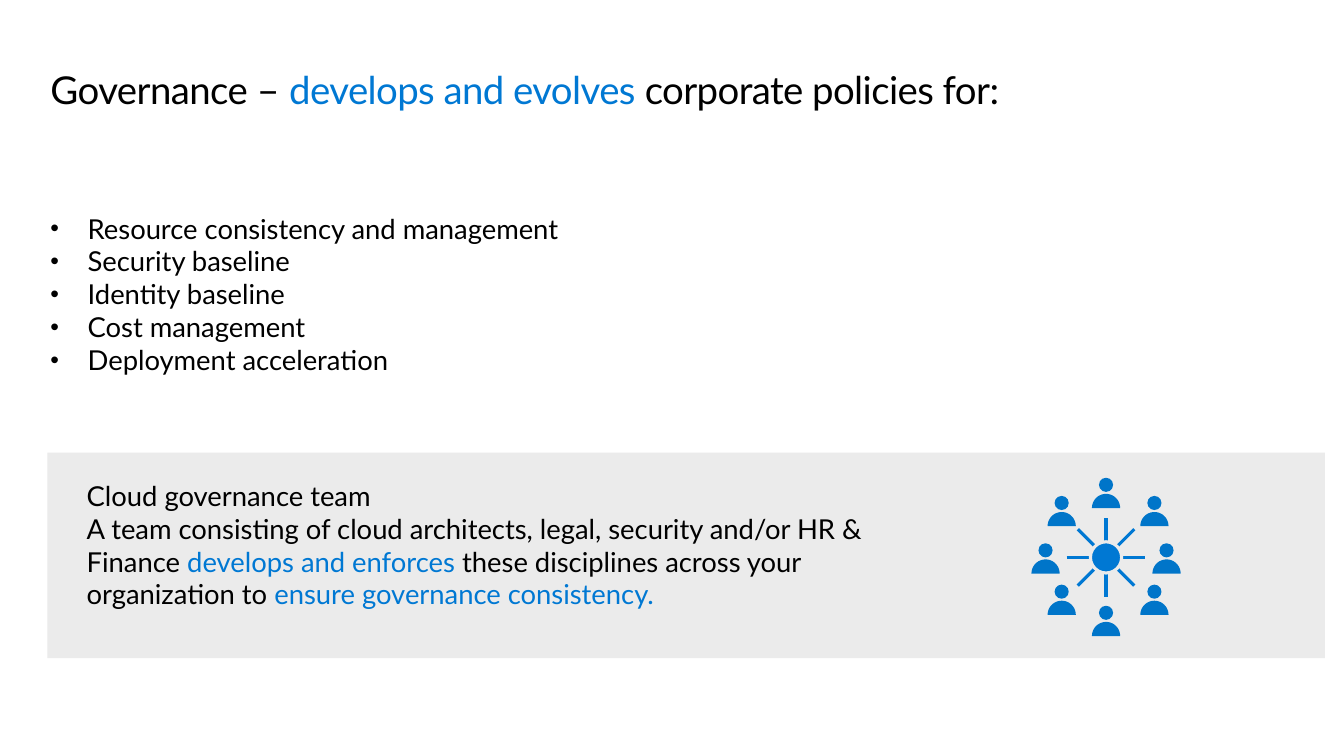
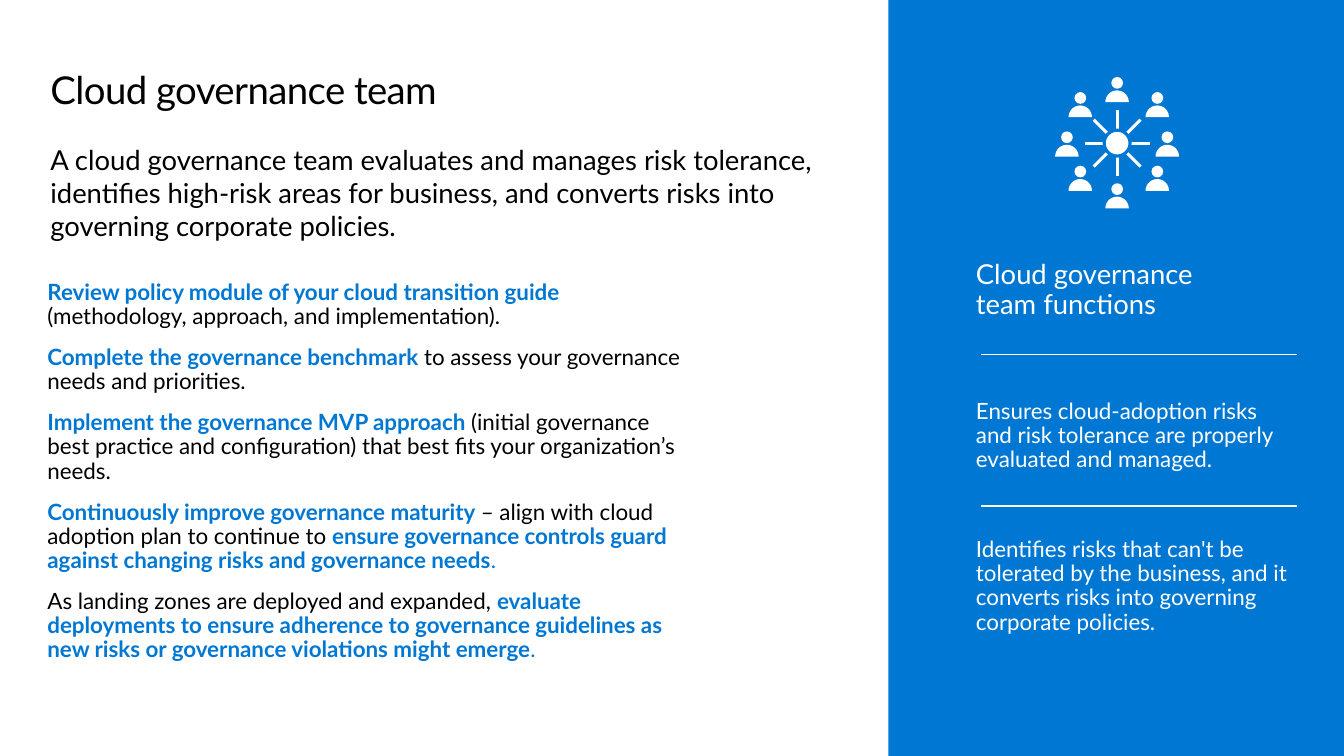
from dataclasses import dataclass
from math import cos, pi, sin

from lxml.etree import SubElement
from pptx import Presentation
from pptx.dml.color import RGBColor
from pptx.enum.shapes import MSO_CONNECTOR as Connector, MSO_SHAPE as Shape
from pptx.enum.text import MSO_ANCHOR as Anchor, MSO_AUTO_SIZE as AutoSize, PP_ALIGN as Align
from pptx.oxml.ns import qn
from pptx.util import Emu, Pt

EMU_PER_PX = 9144


@dataclass(frozen=True)
class Theme:
    font: str = "Lato"
    ink: str = "000000"
    accent: str = "0078D3"
    people: str = "0075C9"
    band: str = "EBEBEB"
    white: str = "FFFFFF"
    title: float = 27.4
    dash: float = 28
    lead: float = 19.6
    detail: float = 16
    title_leading: float = 31.4
    lead_leading: float = 23.5
    title_tracking: int = -40
    spoke: float = 2.25
    rule: float = 1


THEME = Theme()


@dataclass(frozen=True)
class Box:
    left: int
    top: int
    width: int
    height: int


@dataclass(frozen=True)
class Run:
    text: str
    color: str = THEME.ink
    bold: bool = False
    size: float | None = None


@dataclass(frozen=True)
class Style:
    size: float
    leading: object
    after: float = 0
    bulleted: bool = False
    tracking: int = 0


@dataclass(frozen=True)
class TextBlock:
    box: Box
    paragraphs: list[list[Run]]
    style: Style
    insets: tuple[int, int, int, int] = (0, 0, 0, 0)


@dataclass(frozen=True)
class TeamIcon:
    center_x: int
    center_y: int
    scale: float
    people: str
    hub: str
    backdrop: str


TITLE = Style(THEME.title, Pt(THEME.title_leading), tracking=THEME.title_tracking)
LEAD = Style(THEME.lead, Pt(THEME.lead_leading))
BULLETS = Style(THEME.lead, Pt(THEME.lead_leading), bulleted=True)
STEPS = Style(THEME.detail, 0.9, after=12)
PANEL_HEADING = Style(THEME.lead, 0.9, after=6)
PANEL_DETAIL = Style(THEME.detail, 0.9, after=6)

TITLE_BOX = Box(50, 68, 1236, 43)
BULLET_INDENT = 37

PERSON_OFFSETS = [(-60, 1), (60, 1), (0, -64), (0, 63)] + [
    (x, y) for x in (-44, 48) for y in (-46, 42)
]
SPOKES = [(28, 28), (28, -28), (39, 0), (0, 39)]
HEAD_SIZE, SHOULDER_RADIUS, PERSON_HALF, HUB_SIZE = 14, 14, 15, 31
ARC_STEPS = 24


def px(length: float) -> Emu:
    return Emu(round(length * EMU_PER_PX))


def rgb(color: str) -> RGBColor:
    return RGBColor.from_string(color)


def apply(target, values: dict) -> None:
    for name, value in values.items():
        setattr(target, name, value)


def place(box: Box) -> tuple[Emu, Emu, Emu, Emu]:
    return px(box.left), px(box.top), px(box.width), px(box.height)


def add_bullet(paragraph) -> None:
    properties = paragraph._p.get_or_add_pPr()
    indents = {"marL": px(BULLET_INDENT), "indent": -px(BULLET_INDENT)}
    for name, value in indents.items():
        properties.set(name, str(int(value)))
    for tag, name, value in (
        ("a:buSzPct", "val", "90000"),
        ("a:buFont", "typeface", "Arial"),
        ("a:buChar", "char", "•"),
    ):
        SubElement(properties, qn(tag)).set(name, value)


def write(frame, paragraphs: list[list[Run]], style: Style,
          insets: tuple[int, int, int, int] = (0, 0, 0, 0)) -> None:
    left, top, right, bottom = map(px, insets)
    apply(frame, {
        "word_wrap": True, "auto_size": AutoSize.NONE, "vertical_anchor": Anchor.TOP,
        "margin_left": left, "margin_top": top, "margin_right": right, "margin_bottom": bottom,
    })
    for index, runs in enumerate(paragraphs):
        paragraph = frame.add_paragraph() if index else frame.paragraphs[0]
        if style.bulleted:
            add_bullet(paragraph)
        apply(paragraph, {
            "alignment": Align.LEFT, "line_spacing": style.leading,
            "space_before": Pt(0), "space_after": Pt(style.after),
        })
        for part in runs:
            run = paragraph.add_run()
            run.text = part.text
            apply(run.font, {"name": THEME.font, "size": Pt(part.size or style.size),
                             "bold": part.bold})
            run.font.color.rgb = rgb(part.color)
            if style.tracking:
                run.font._element.set("spc", str(style.tracking))


def add_text(slide, block: TextBlock) -> None:
    frame = slide.shapes.add_textbox(*place(block.box)).text_frame
    write(frame, block.paragraphs, block.style, block.insets)


def paint(shape, color: str, outline: str | None = None) -> None:
    shape.shadow.inherit = False
    shape.fill.solid()
    shape.fill.fore_color.rgb = rgb(color)
    if outline:
        shape.line.color.rgb = rgb(outline)
        shape.line.width = Pt(THEME.spoke)
    else:
        shape.line.fill.background()


def add_block(slide, box: Box, color: str) -> None:
    paint(slide.shapes.add_shape(Shape.RECTANGLE, *place(box)), color)


def add_line(shapes, start: tuple[float, float], end: tuple[float, float],
             color: str, width: float) -> None:
    line = shapes.add_connector(Connector.STRAIGHT, *map(px, start + end))
    line.line.color.rgb = rgb(color)
    line.line.width = Pt(width)
    SubElement(line._element.spPr, qn("a:effectLst"))


def add_disc(shapes, x: float, y: float, size: float, color: str,
             outline: str | None = None) -> None:
    disc = shapes.add_shape(Shape.OVAL, px(x - size / 2), px(y - size / 2), px(size), px(size))
    paint(disc, color, outline)


def add_person(shapes, x: float, y: float, scale: float, color: str) -> None:
    add_disc(shapes, x, y + (HEAD_SIZE / 2 - PERSON_HALF) * scale, HEAD_SIZE * scale, color)
    base, radius = y + PERSON_HALF * scale, SHOULDER_RADIUS * scale
    angles = [pi * step / ARC_STEPS for step in range(ARC_STEPS + 1)]
    arc = [(px(x - radius * cos(a)), px(base - radius * sin(a))) for a in angles]
    shoulders = shapes.build_freeform(*arc[0])
    shoulders.add_line_segments(arc[1:], close=True)
    paint(shoulders.convert_to_shape(), color)


def add_team_icon(slide, icon: TeamIcon) -> None:
    shapes = slide.shapes.add_group_shape().shapes
    x, y, scale = icon.center_x, icon.center_y, icon.scale
    for dx, dy in PERSON_OFFSETS:
        add_person(shapes, x + dx * scale, y + dy * scale, scale, icon.people)
    for dx, dy in SPOKES:
        add_line(shapes, (x - dx * scale, y - dy * scale), (x + dx * scale, y + dy * scale),
                 icon.hub, THEME.spoke)
    add_disc(shapes, x, y, HUB_SIZE * scale, icon.hub, icon.backdrop)


def add_titled_slide(deck, runs: list[Run]):
    slide = deck.slides.add_slide(deck.slide_layouts[5])
    title = slide.shapes.title
    apply(title, dict(zip(("left", "top", "width", "height"), place(TITLE_BOX))))
    write(title.text_frame, [runs], TITLE)
    return slide


def accent(text: str, bold: bool = False) -> Run:
    return Run(text, THEME.accent, bold)


def build_policies(deck) -> None:
    slide = add_titled_slide(deck, [
        Run("Governance "), Run("– ", size=THEME.dash),
        accent("develops and evolves "), Run("corporate policies for:"),
    ])
    add_block(slide, Box(47, 449, 1267, 204), THEME.band)
    disciplines = ("Resource consistency and management", "Security baseline",
                   "Identity baseline", "Cost management", "Deployment acceleration")
    add_text(slide, TextBlock(Box(50, 210, 1026, 166),
                              [[Run(name)] for name in disciplines], BULLETS))
    add_text(slide, TextBlock(Box(86, 475, 822, 132), [
        [Run("Cloud governance team")],
        [Run("A team consisting of cloud architects, legal, security and/or HR & Finance "),
         accent("develops and enforces "),
         Run("these disciplines across your organization to "),
         accent("ensure governance consistency.")],
    ], LEAD))
    add_team_icon(slide, TeamIcon(1097, 553, 1, THEME.people, THEME.accent, THEME.band))


def build_team(deck) -> None:
    slide = add_titled_slide(deck, [Run("Cloud governance team")])
    add_block(slide, Box(881, 0, 452, 750), THEME.accent)
    steps = [
        [accent("Review policy module of your cloud transition guide ", True),
         Run("(methodology, approach, and implementation).")],
        [accent("Complete the governance benchmark ", True),
         Run("to assess your governance needs and priorities.")],
        [accent("Implement the governance MVP approach ", True),
         Run("(initial governance best practice and configuration) "
             "that best fits your organization’s needs.")],
        [accent("Continuously improve governance maturity ", True),
         Run("– align with cloud adoption plan to continue to "),
         accent("ensure governance controls guard against changing risks "
                "and governance needs", True), accent(".")],
        [Run("As landing zones are deployed and expanded, "),
         accent("evaluate deployments to ensure adherence to governance guidelines "
                "as new risks or governance violations might emerge", True), accent(".")],
    ]
    summary = ("A cloud governance team evaluates and manages risk tolerance, identifies "
               "high-risk areas for business, and converts risks into governing "
               "corporate policies.")
    add_text(slide, TextBlock(Box(50, 142, 807, 99), [[Run(summary)]], LEAD))
    add_text(slide, TextBlock(Box(47, 263, 661, 375), steps, STEPS, (0, 16, 20, 16)))
    functions = [
        (Box(948, 243, 319, 92), "Cloud governance team functions",
         PANEL_HEADING, (20, 16, 20, 16)),
        (Box(968, 397, 314, 73), "Ensures cloud-adoption risks and risk tolerance are "
         "properly evaluated and managed.", PANEL_DETAIL, (0, 0, 0, 0)),
        (Box(968, 534, 314, 97), "Identifies risks that can't be tolerated by the business, "
         "and it converts risks into governing corporate policies.", PANEL_DETAIL, (0, 0, 0, 0)),
    ]
    for box, text, style, insets in functions:
        add_text(slide, TextBlock(box, [[Run(text, THEME.white)]], style, insets))
    for y in (352, 502):
        add_line(slide.shapes, (973, y), (1286, y), THEME.white, THEME.rule)
    add_team_icon(slide, TeamIcon(1108, 142, 0.83, THEME.white, THEME.white, THEME.accent))


def main() -> None:
    deck = Presentation()
    apply(deck, {"slide_width": px(1333), "slide_height": px(750)})
    build_policies(deck)
    build_team(deck)
    deck.save("out.pptx")


if __name__ == "__main__":
    main()
